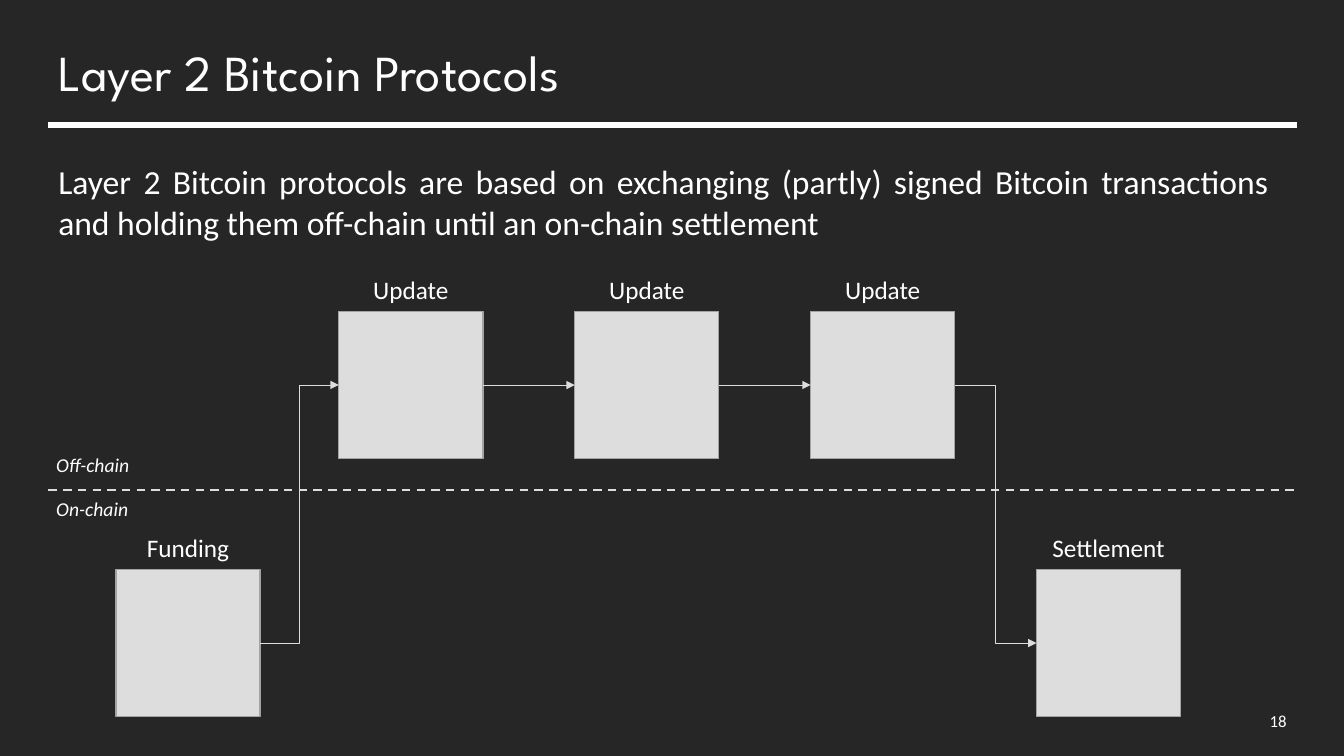
from lxml.etree import SubElement
from pptx import Presentation
from pptx.dml.color import RGBColor
from pptx.enum.dml import MSO_LINE
from pptx.enum.shapes import MSO_CONNECTOR as LINK, MSO_SHAPE
from pptx.enum.text import MSO_ANCHOR as ANCHOR, MSO_AUTO_SIZE, PP_ALIGN as ALIGN
from pptx.oxml.ns import qn
from pptx.util import Pt

PX = 9144  # EMU per px, 100 px to the inch
COLORS = {"background": "262626", "text": "FFFFFF", "block": "DDDDDD", "edge": "A3A3A3"}
BLOCK_W, BLOCK_H = 143, 146
LABEL_H, LABEL_RISE = 40, 42
OFF_CHAIN_Y, ON_CHAIN_Y = 309, 565
RIGHT, LEFT = 3, 1  # connection sites of a rectangle


def color(name):
    return RGBColor.from_string(COLORS[name])


def px(*lengths):
    return [length * PX for length in lengths]


def write(frame, text, size, align=ALIGN.LEFT, font="Calibri", italic=False):
    frame.word_wrap = True
    frame.auto_size = MSO_AUTO_SIZE.NONE
    paragraph = frame.paragraphs[0]
    paragraph.text = text
    paragraph.alignment = align
    paragraph.font.name = font
    paragraph.font.size = Pt(size)
    paragraph.font.italic = italic
    paragraph.font.color.rgb = color("text")
    return paragraph


def add_label(slide, box, text, size, align=ALIGN.LEFT, italic=False, anchor=ANCHOR.TOP):
    frame = slide.shapes.add_textbox(*px(*box)).text_frame
    frame.vertical_anchor = anchor
    write(frame, text, size, align, italic=italic)


def add_title(slide, text):
    title = slide.shapes.title
    title.left, title.top, title.width, title.height = px(48, 40, 1237, 70)
    title.text_frame.vertical_anchor = ANCHOR.MIDDLE
    write(title.text_frame, text, 36, font="League Spartan").line_spacing = 0.9


def add_transaction(slide, name, left, top):
    block = slide.shapes.add_shape(MSO_SHAPE.RECTANGLE, *px(left, top, BLOCK_W, BLOCK_H))
    block.shadow.inherit = False
    block.fill.solid()
    block.fill.fore_color.rgb = color("block")
    block.line.color.rgb = color("edge")
    block.line.width = Pt(1)
    add_label(slide, (left, top - LABEL_RISE, BLOCK_W, LABEL_H), name, 18, ALIGN.CENTER)
    return block


def add_line(slide, kind, ends, line_color, width):
    line = slide.shapes.add_connector(kind, *px(*ends))
    line.line.color.rgb = color(line_color)
    line.line.width = Pt(width)
    SubElement(line._element.spPr, qn("a:effectLst"))
    return line


def add_arrow(slide, source, target, kind):
    arrow = add_line(slide, kind, (0, 0, 0, 0), "block", 0.5)
    arrow.begin_connect(source, RIGHT)
    arrow.end_connect(target, LEFT)
    SubElement(arrow.line._get_or_add_ln(), qn("a:tailEnd"), type="triangle")


def main():
    deck = Presentation()
    deck.slide_width, deck.slide_height = px(1333, 750)
    slide = deck.slides.add_slide(deck.slide_layouts[5])
    slide.background.fill.solid()
    slide.background.fill.fore_color.rgb = color("background")

    # Heading, statement and page number
    add_line(slide, LINK.STRAIGHT, (48, 124, 1286, 124), "text", 4.5)
    add_title(slide, "Layer 2 Bitcoin Protocols")
    add_label(slide, (48, 155, 1220, 91),
              "Layer 2 Bitcoin protocols are based on exchanging (partly) signed Bitcoin "
              "transactions and holding them off-chain until an on-chain settlement",
              24, ALIGN.JUSTIFY)
    add_label(slide, (1179, 695, 107, 40), "18", 12, ALIGN.RIGHT, anchor=ANCHOR.MIDDLE)

    # Border between the two zones
    border = add_line(slide, LINK.STRAIGHT, (48, 486, 1285, 486), "block", 1.5)
    border.line.dash_style = MSO_LINE.DASH
    for zone, top in (("Off-chain", 444), ("On-chain", 488)):
        add_label(slide, (46, top, 100, 34), zone, 14, italic=True)

    # Transactions in order
    funding = add_transaction(slide, "Funding", 115, ON_CHAIN_Y)
    updates = [add_transaction(slide, "Update", 336 + 234 * i, OFF_CHAIN_Y) for i in range(3)]
    settlement = add_transaction(slide, "Settlement", 1028, ON_CHAIN_Y)

    # Flow from funding to settlement
    add_arrow(slide, funding, updates[0], LINK.ELBOW)
    for earlier, later in zip(updates, updates[1:]):
        add_arrow(slide, earlier, later, LINK.STRAIGHT)
    add_arrow(slide, updates[-1], settlement, LINK.ELBOW)

    deck.save("out.pptx")


if __name__ == "__main__":
    main()
